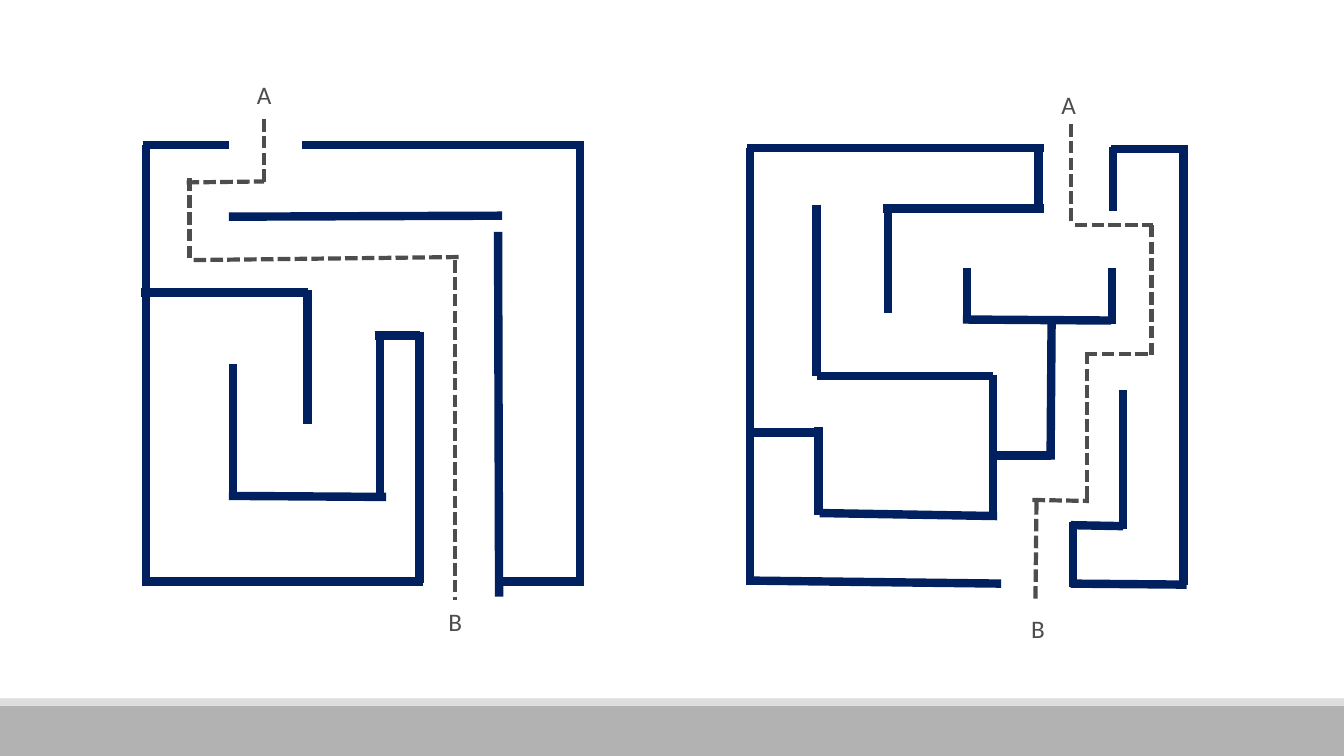
from pptx import Presentation
from pptx.dml.color import RGBColor
from pptx.enum.dml import MSO_LINE
from pptx.enum.shapes import MSO_CONNECTOR as CONNECTOR, MSO_SHAPE as SHAPE
from pptx.enum.text import MSO_AUTO_SIZE as AUTO_SIZE
from pptx.oxml.ns import qn
from pptx.util import Cm, Pt

# Content: all coordinates in inches, lines as (x1, y1, x2, y2)
WIDTH, HEIGHT = 13.33, 7.5
NAVY, GREY = "002060", "4D4D4D"

FOOTER_BANDS = [  # top, height, colour
    (7, 0.5, "B2B2B2"),
    (6.93, 0.07, "DDDDDD"),
]

LEFT_MAZE = {
    "walls": [
        (1.45, 1.44, 1.45, 5.77), (5.75, 1.44, 5.75, 5.77),
        (1.41, 5.77, 4.2, 5.77), (4.94, 5.77, 5.79, 5.77),
        (4.94, 2.3, 4.95, 5.92), (3, 1.44, 5.79, 1.44),
        (1.42, 1.44, 2.27, 1.44), (2.27, 2.15, 4.98, 2.14),
        (1.4, 2.9, 3.05, 2.9), (3.05, 2.88, 3.05, 4.21),
        (2.31, 3.61, 2.31, 4.94), (2.27, 4.92, 3.83, 4.93),
        (3.77, 3.33, 3.77, 4.97), (3.72, 3.33, 4.17, 3.33),
        (4.16, 3.29, 4.16, 5.78),
    ],
    "route": [
        (2.62, 1.18, 2.62, 1.83), (4.51, 2.58, 4.51, 5.95),
        (1.88, 1.77, 1.88, 2.58), (1.92, 2.58, 4.56, 2.55),
        (1.85, 1.81, 2.62, 1.8),
    ],
    "labels": [("A", 2.45, 0.74), ("B", 4.35, 5.97)],
}

RIGHT_MAZE = {
    "walls": [
        (7.44, 1.47, 7.44, 5.8), (11.74, 1.47, 11.74, 5.8),
        (7.44, 5.76, 9.93, 5.79), (10.62, 5.79, 11.77, 5.8),
        (7.41, 1.47, 10.35, 1.47), (11.02, 1.48, 11.78, 1.48),
        (8.13, 5.09, 9.89, 5.12), (8.12, 4.24, 8.12, 5.11),
        (8.1, 3.73, 9.85, 3.73), (8.1, 2.03, 8.1, 3.73),
        (8.81, 2.07, 8.81, 3.11), (8.76, 2.07, 10.35, 2.07),
        (10.3, 1.43, 10.3, 2.07), (9.59, 2.66, 9.59, 3.18),
        (9.55, 3.17, 11.02, 3.18), (11.03, 2.66, 11.03, 3.21),
        (11.04, 1.46, 11.04, 2.09), (9.85, 3.72, 9.85, 5.1),
        (7.44, 4.29, 8.13, 4.29), (10.64, 5.18, 10.64, 5.82),
        (10.62, 5.21, 11.14, 5.22), (11.14, 3.87, 11.14, 5.25),
        (10.43, 3.18, 10.42, 4.56), (9.85, 4.52, 10.42, 4.52),
    ],
    "route": [
        (10.62, 1.23, 10.62, 2.23), (11.42, 2.23, 11.42, 3.56),
        (10.78, 3.49, 10.78, 4.97), (10.28, 4.98, 10.27, 5.97),
        (10.24, 4.96, 10.8, 4.97), (10.76, 3.51, 11.4, 3.51),
        (10.66, 2.23, 11.44, 2.23),
    ],
    "labels": [("A", 10.43, 0.84), ("B", 10.13, 6.04)],
}


def color(hex_code):
    return RGBColor.from_string(hex_code)


def lengths(*inches):
    return [Cm(value * 2.54) for value in inches]


def add_band(slide, top, height, fill):
    band = slide.shapes.add_shape(SHAPE.RECTANGLE, *lengths(0, top, WIDTH, height))
    band.shadow.inherit = False
    band.fill.solid()
    band.fill.fore_color.rgb = color(fill)
    band.line.fill.background()


def add_line(slide, ends, hex_code, width, dash=None):
    connector = slide.shapes.add_connector(CONNECTOR.STRAIGHT, *lengths(*ends))
    connector.line.color.rgb = color(hex_code)
    connector.line.width = Pt(width)
    if dash is not None:
        connector.line.dash_style = dash
    properties = connector._element.spPr
    properties.append(properties.makeelement(qn("a:effectLst"), {}))


def add_label(slide, text, left, top):
    box = slide.shapes.add_textbox(*lengths(left, top, 0.47, 0.4))
    frame = box.text_frame
    frame.word_wrap = True
    frame.auto_size = AUTO_SIZE.SHAPE_TO_FIT_TEXT
    frame.text = text
    font = frame.paragraphs[0].runs[0].font
    font.name = "Calibri"
    font.size = Pt(18)
    font.color.rgb = color(GREY)


def main():
    presentation = Presentation()
    presentation.slide_width, presentation.slide_height = lengths(WIDTH, HEIGHT)
    slide = presentation.slides.add_slide(presentation.slide_layouts[6])

    # Footer
    for band in FOOTER_BANDS:
        add_band(slide, *band)

    # Mazes with their solution routes
    for maze in (LEFT_MAZE, RIGHT_MAZE):
        for wall in maze["walls"]:
            add_line(slide, wall, NAVY, 6)
        for step in maze["route"]:
            add_line(slide, step, GREY, 3, MSO_LINE.SQUARE_DOT)
        for label in maze["labels"]:
            add_label(slide, *label)

    presentation.save("out.pptx")


if __name__ == "__main__":
    main()
